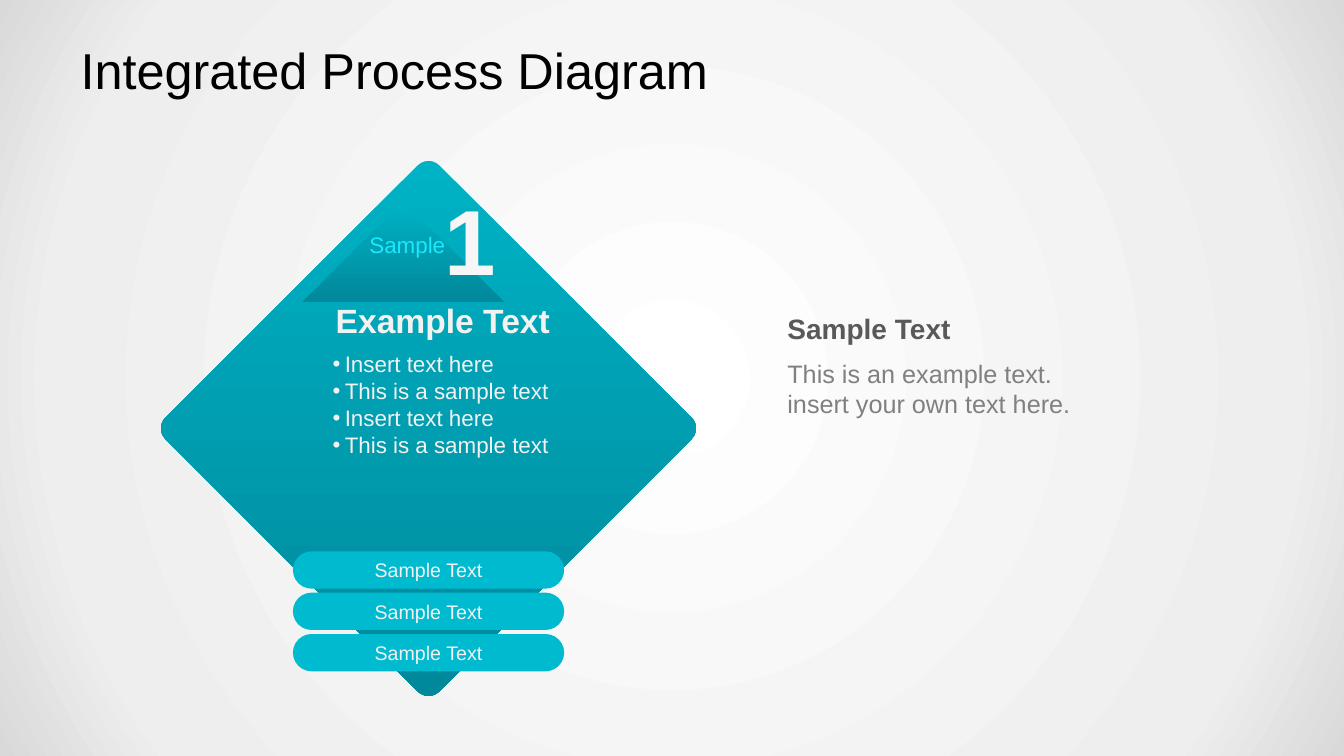
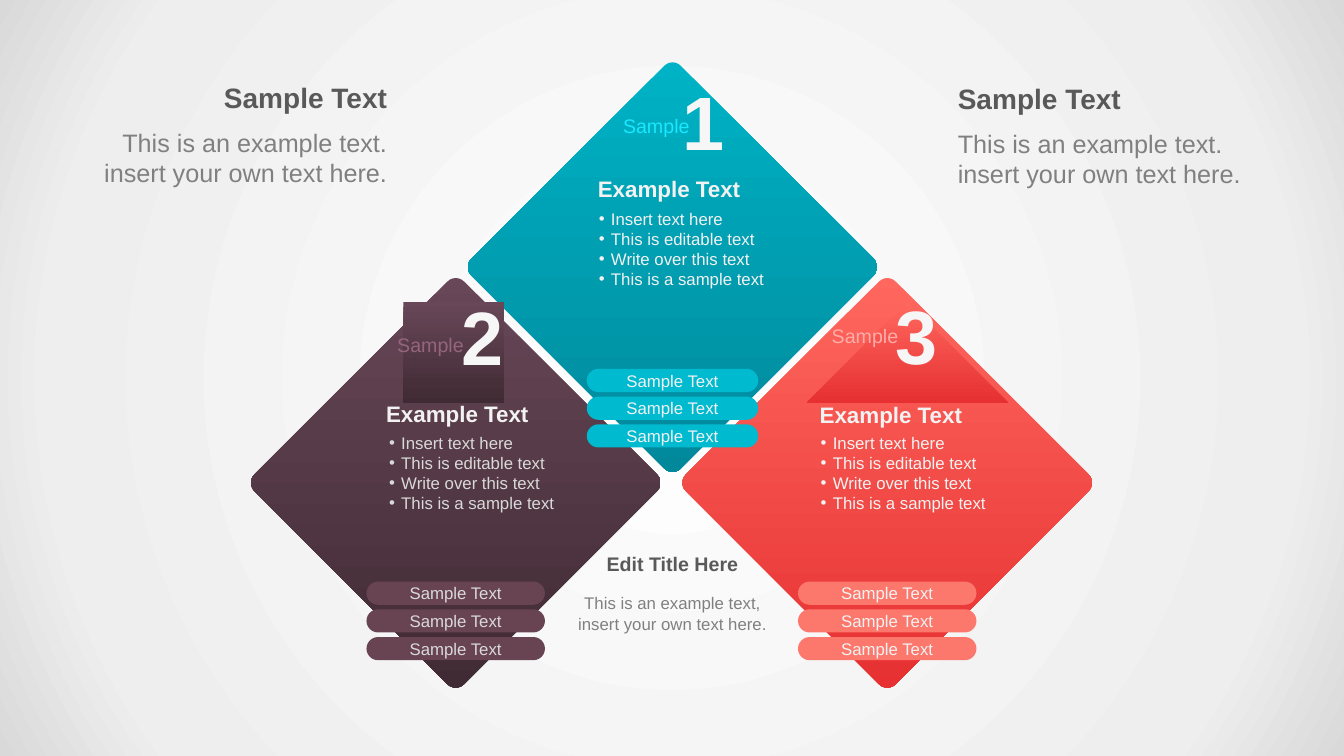
from dataclasses import dataclass

from pptx import Presentation
from pptx.dml.color import RGBColor
from pptx.enum.shapes import MSO_SHAPE as SHAPE
from pptx.enum.text import MSO_ANCHOR as ANCHOR, MSO_AUTO_SIZE as FIT, PP_ALIGN as ALIGN
from pptx.oxml import parse_xml
from pptx.oxml.ns import nsdecls, qn
from pptx.util import Inches, Pt

FONT = "Arial"
BLACK = RGBColor(0x00, 0x00, 0x00)
DARK_GRAY = RGBColor(0x59, 0x59, 0x59)
MID_GRAY = RGBColor(0x80, 0x80, 0x80)
PALE = RGBColor(0xF2, 0xF2, 0xF2)
SILVER = RGBColor(0xD9, 0xD9, 0xD9)
NUMBER_WHITE = RGBColor(0xF6, 0xF6, 0xF6)
BACKDROP = [(0, "FFFFFF"), (81, "EEEEEE"), (100, "D9D9D9")]


@dataclass
class Palette:
    light: RGBColor
    dark: RGBColor
    pill: RGBColor
    tag: RGBColor
    text: RGBColor = PALE


TEAL = Palette(RGBColor(0x00, 0xB2, 0xC5), RGBColor(0x01, 0x88, 0x9B),
               RGBColor(0x00, 0xBA, 0xD0), RGBColor(0x19, 0xE9, 0xFF))
PLUM = Palette(RGBColor(0x67, 0x47, 0x58), RGBColor(0x40, 0x2A, 0x33),
               RGBColor(0x68, 0x43, 0x52), RGBColor(0x95, 0x65, 0x7E), SILVER)
CORAL = Palette(RGBColor(0xFF, 0x68, 0x5F), RGBColor(0xE6, 0x30, 0x31),
                RGBColor(0xFC, 0x77, 0x6C), RGBColor(0xFE, 0xAC, 0xA8))


@dataclass
class Sizes:
    """Measures and font sizes shared by the cards of one slide."""
    side: float
    pill_height: float
    pill_pitch: float
    number: int
    tag: int
    heading: int
    items: int
    pill: int


LARGE = Sizes(3.84, 0.37, 0.41, 66, 16, 24, 16, 14)
SMALL = Sizes(2.94, 0.23, 0.275, 54, 14, 16, 12, 12)


@dataclass
class Card:
    """A diamond; all positions are offsets from its center."""
    center: tuple
    palette: Palette
    number: str
    number_at: tuple
    tag_at: tuple
    heading_at: tuple
    list_at: tuple
    pill_top: float
    pill_width: float
    items: tuple


SHORT_ITEMS = ("Insert text here", "This is a sample text") * 2
EDIT_ITEMS = ("Insert text here", "This is editable text",
              "Write over this text", "This is a sample text")

SINGLE_CARD = Card((4.25, 4.25), TEAL, "1", (0.41, -1.88), (-0.21, -1.82),
                   (-0.92, -1.07), (-1.4, -0.24), 1.22, 2.69, SHORT_ITEMS)
TRIO = [
    Card((6.67, 2.65), TEAL, "1", (0.31, -1.46), (-0.16, -1.4),
         (-0.74, -0.78), (-1.18, -0.18), 1.01, 1.7, EDIT_ITEMS),
    Card((4.52, 4.79), PLUM, "2", (0.27, -1.46), (-0.25, -1.37),
         (-0.69, -0.69), (-1.11, -0.1), 0.98, 1.77, EDIT_ITEMS),
    Card((8.8, 4.79), CORAL, "3", (0.29, -1.47), (-0.22, -1.46),
         (-0.67, -0.68), (-1.11, -0.1), 0.98, 1.77, EDIT_ITEMS),
]

# Right half of the cap on a diamond of side CAP_SIDE, from its center
CAP_SIDE = 3.84
CAP_TIP = [(0, -2.65), (0.04, -2.65), (0.08, -2.64), (0.11, -2.61)]
CAP_CORNER = [(1.1, -1.62), (1.12, -1.58), (1.1, -1.53), (1.05, -1.53)]


def style_run(paragraph, text, size, color, bold=False):
    run = paragraph.add_run()
    run.text = text
    font = run.font
    font.name, font.size, font.bold = FONT, Pt(size), bold
    font.color.rgb = color


def bullet(paragraph):
    props = paragraph._p.get_or_add_pPr()
    props.set("marL", str(Inches(0.57)))
    props.set("indent", str(Inches(-0.12)))
    props.append(parse_xml(f'<a:buFont {nsdecls("a")} typeface="{FONT}"/>'))
    props.append(parse_xml(f'<a:buChar {nsdecls("a")} char="•"/>'))


def add_text(slide, box, lines, size, color, bold=False, align=ALIGN.LEFT, bullets=False):
    frame = slide.shapes.add_textbox(*map(Inches, box)).text_frame
    frame.word_wrap = True
    frame.vertical_anchor = ANCHOR.MIDDLE
    frame.margin_left = frame.margin_right = 0
    for index, line in enumerate(lines):
        paragraph = frame.add_paragraph() if index else frame.paragraphs[0]
        paragraph.alignment = align
        if bullets:
            bullet(paragraph)
        style_run(paragraph, line, size, color, bold)


def around(x, y, width, height):
    return x - width / 2, y - height / 2, width, height


def fade(shape, palette, angle):
    """Fill from light to dark, the angle being counter-clockwise."""
    shape.shadow.inherit = False
    shape.line.fill.background()
    shape.fill.gradient()
    shape.fill.gradient_angle = angle
    for stop, color in zip(shape.fill.gradient_stops, (palette.light, palette.dark)):
        stop.color.rgb = color


def curve(points, steps=8):
    """Points along a cubic curve."""
    for step in range(steps + 1):
        t = step / steps
        weights = ((1 - t) ** 3, 3 * t * (1 - t) ** 2, 3 * t * t * (1 - t), t ** 3)
        yield tuple(sum(w * p[axis] for w, p in zip(weights, points)) for axis in (0, 1))


def add_diamond(slide, card, sizes):
    x, y = card.center
    diamond = slide.shapes.add_shape(
        SHAPE.ROUNDED_RECTANGLE, *map(Inches, around(x, y, sizes.side, sizes.side)))
    diamond.adjustments[0] = 0.039
    diamond.rotation = 45
    fade(diamond, card.palette, 315)

    # Cap: right half, then its mirror image
    right = [*curve(CAP_TIP), *curve(CAP_CORNER)]
    outline = right + [(-px, py) for px, py in reversed(right[1:])]
    scale = sizes.side / CAP_SIDE
    points = [(x + px * scale, y + py * scale) for px, py in outline]
    builder = slide.shapes.build_freeform(*points[0], scale=Inches(1))
    builder.add_line_segments(points[1:], close=True)
    fade(builder.convert_to_shape(), card.palette, 270)


def add_pills(slide, card, sizes):
    x, y = card.center
    for row in range(3):
        top = y + card.pill_top + row * sizes.pill_pitch
        pill = slide.shapes.add_shape(
            SHAPE.ROUNDED_RECTANGLE, Inches(x - card.pill_width / 2), Inches(top),
            Inches(card.pill_width), Inches(sizes.pill_height))
        pill.adjustments[0] = 0.5
        pill.shadow.inherit = False
        pill.line.fill.background()
        pill.fill.solid()
        pill.fill.fore_color.rgb = card.palette.pill
        frame = pill.text_frame
        frame.margin_top = frame.margin_bottom = 0
        frame.vertical_anchor = ANCHOR.MIDDLE
        frame.paragraphs[0].alignment = ALIGN.CENTER
        style_run(frame.paragraphs[0], "Sample Text", sizes.pill, card.palette.text)


def add_card_content(slide, card, sizes):
    def place(offset):
        return card.center[0] + offset[0], card.center[1] + offset[1]

    add_pills(slide, card, sizes)
    add_text(slide, around(*place(card.number_at), 0.8, 1.2), [card.number],
             sizes.number, NUMBER_WHITE, True, ALIGN.CENTER)
    add_text(slide, around(*place(card.tag_at), 1, 0.36), ["Sample"],
             sizes.tag, card.palette.tag, align=ALIGN.CENTER)
    left, middle = place(card.heading_at)
    add_text(slide, (left, middle - 0.25, 2.4, 0.5), ["Example Text"],
             sizes.heading, PALE, True)
    left, middle = place(card.list_at)
    add_text(slide, (left, middle - 0.6, 2.9, 1.2), card.items,
             sizes.items, card.palette.text, bullets=True)


def add_note(slide, left, top, align=ALIGN.LEFT):
    add_text(slide, (left, top, 3.06, 0.44), ["Sample Text"], 20, DARK_GRAY, True, align)
    add_text(slide, (left, top + 0.46, 3.06, 0.71),
             ["This is an example text. insert your own text here."], 18, MID_GRAY, align=align)


def add_center_note(slide, center, top):
    add_text(slide, (center - 0.75, top, 1.5, 0.57), ["Edit Title Here"],
             14, DARK_GRAY, True, ALIGN.CENTER)
    add_text(slide, (center - 0.97, top + 0.42, 1.94, 0.71),
             ["This is an example text, insert your own text here."],
             12, MID_GRAY, align=ALIGN.CENTER)


def set_backdrop(master):
    """Radial gradient behind every slide."""
    master.background.fill.solid()
    props = master.element.find(".//" + qn("p:bgPr"))
    stops = "".join(f'<a:gs pos="{pos * 1000}"><a:srgbClr val="{color}"/></a:gs>'
                    for pos, color in BACKDROP)
    props.replace(props[0], parse_xml(
        f'<a:gradFill {nsdecls("a")} rotWithShape="1"><a:gsLst>{stops}</a:gsLst>'
        '<a:path path="circle"><a:fillToRect l="50000" t="50000" r="50000" b="50000"/>'
        '</a:path></a:gradFill>'))


def set_title(slide, text):
    title = slide.shapes.title
    title.left, title.top, title.width, title.height = map(Inches, (0.67, 0.3, 12, 0.78))
    frame = title.text_frame
    frame.auto_size = FIT.NONE
    frame.vertical_anchor = ANCHOR.MIDDLE
    frame.margin_left = frame.margin_right = Inches(0.13)
    frame.margin_top = frame.margin_bottom = Inches(0.07)
    frame.paragraphs[0].alignment = ALIGN.LEFT
    style_run(frame.paragraphs[0], text, 36, BLACK)


def add_cards(slide, cards, sizes):
    # All diamonds lie beneath the pills, which overlap their neighbors
    for card in cards:
        add_diamond(slide, card, sizes)
    for card in cards:
        add_card_content(slide, card, sizes)


def build_single(deck):
    slide = deck.slides.add_slide(deck.slide_layouts.get_by_name("Title Only"))
    set_title(slide, "Integrated Process Diagram")
    add_cards(slide, [SINGLE_CARD], LARGE)
    add_note(slide, 7.81, 3.04)


def build_trio(deck):
    slide = deck.slides.add_slide(deck.slide_layouts.get_by_name("Blank"))
    add_cards(slide, TRIO, SMALL)
    add_note(slide, 9.5, 0.76)
    add_note(slide, 0.78, 0.75, ALIGN.RIGHT)
    add_center_note(slide, 6.67, 5.31)


def main():
    deck = Presentation()
    deck.slide_width, deck.slide_height = Inches(13.33), Inches(7.5)
    set_backdrop(deck.slide_master)
    build_single(deck)
    build_trio(deck)
    deck.save("out.pptx")


if __name__ == "__main__":
    main()
